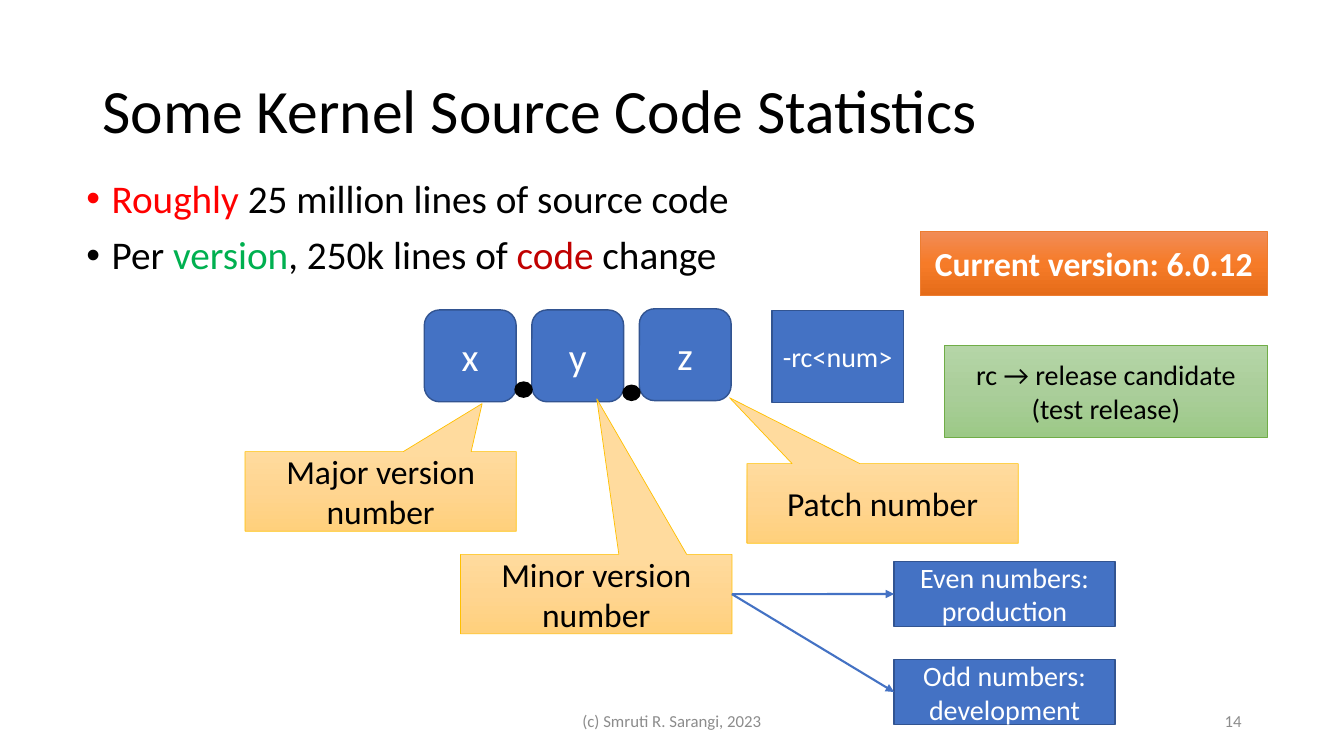
from copy import deepcopy
from dataclasses import dataclass

from lxml.etree import SubElement
from pptx import Presentation
from pptx.dml.color import RGBColor
from pptx.enum.shapes import MSO_CONNECTOR, MSO_SHAPE
from pptx.enum.text import MSO_ANCHOR, MSO_AUTO_SIZE, PP_ALIGN
from pptx.oxml.ns import qn
from pptx.util import Pt


@dataclass(frozen=True)
class Theme:
    font: str = "Calibri"
    black: str = "000000"
    white: str = "FFFFFF"
    grey: str = "8C8C8C"
    red: str = "FF0000"
    dark_red: str = "C00000"
    green: str = "00B050"
    blue: str = "4472C4"
    blue_edge: str = "325491"
    gold: tuple = ("FFDB9E", "FFD590", "FFD07C")
    gold_edge: str = "FFC000"
    orange: tuple = ("F18C57", "F67B28", "E56C19")
    orange_edge: str = "ED7D31"
    leaf: tuple = ("B5D5A7", "AACE9A", "9CC987")
    leaf_edge: str = "70AD47"
    title: int = 44
    body: int = 28
    callout: int = 24
    note: int = 20
    footer: int = 12


theme = Theme()


def add_run(paragraph, text, size, color, bold=False):
    run = paragraph.add_run()
    run.text = text
    run.font.name = theme.font
    run.font.size = Pt(size)
    run.font.bold = bold
    run.font.color.rgb = RGBColor.from_string(color)


def add_box(kind, place, fill, edge, text="", size=theme.note, color=theme.white, bold=False):
    """Draw a labelled shape; a tuple as fill is a gradient from top to bottom."""
    box = slide.shapes.add_shape(kind, *map(Pt, place))
    box.shadow.inherit = False
    if isinstance(fill, tuple):
        box.fill.gradient()
        box.fill.gradient_angle = 270
        stop_list = box._element.spPr.find(".//" + qn("a:gsLst"))
        stop_list.insert(1, deepcopy(stop_list[0]))
        for stop, shade, position in zip(box.fill.gradient_stops, fill, (0, 0.5, 1)):
            stop.color.rgb = RGBColor.from_string(shade)
            stop.position = position
        box.line.width = Pt(0.5)
    else:
        box.fill.solid()
        box.fill.fore_color.rgb = RGBColor.from_string(fill)
        box.line.width = Pt(1)
    box.line.color.rgb = RGBColor.from_string(edge)
    if text:
        box.text_frame.word_wrap = True
        box.text_frame.vertical_anchor = MSO_ANCHOR.MIDDLE
        label = box.text_frame.paragraphs[0]
        label.alignment = PP_ALIGN.CENTER
        add_run(label, text, size, color, bold)
    return box


presentation = Presentation()
presentation.slide_width, presentation.slide_height = Pt(960), Pt(540)
slide = presentation.slides.add_slide(presentation.slide_layouts[5])

# Title
title = slide.shapes.title
title.left, title.top, title.width, title.height = Pt(66), Pt(28.8), Pt(828), Pt(104.4)
title.text_frame.word_wrap = True
title.text_frame.auto_size = MSO_AUTO_SIZE.NONE
title.text_frame.vertical_anchor = MSO_ANCHOR.MIDDLE
heading = title.text_frame.paragraphs[0]
heading.alignment = PP_ALIGN.LEFT
heading.line_spacing = 0.9
add_run(heading, "Some Kernel Source Code Statistics", theme.title, theme.black)

# Bulleted facts
facts = slide.shapes.add_textbox(Pt(54.7), Pt(124.6), Pt(828), Pt(112.3)).text_frame
facts.word_wrap = True
fact_lines = [
    [("Roughly", theme.red), (" 25 million lines of source code", theme.black)],
    [("Per ", theme.black), ("version", theme.green), (", 250k lines of ", theme.black),
     ("code", theme.dark_red), (" change", theme.black)],
]
for number, pieces in enumerate(fact_lines):
    fact = facts.add_paragraph() if number else facts.paragraphs[0]
    properties = fact._p.get_or_add_pPr()
    properties.set("marL", str(Pt(18)))
    properties.set("indent", str(Pt(-18)))
    SubElement(properties, qn("a:buFont")).set("typeface", "Arial")
    SubElement(properties, qn("a:buChar")).set("char", "•")
    fact.line_spacing = 0.9
    if number:
        fact.space_before = Pt(10)
    for text, color in pieces:
        add_run(fact, text, theme.body, color)

# Version pattern x.y.z-rc<num>
for column, (part, top) in enumerate([("x", 221.4), ("y", 221.4), ("z", 220.6)]):
    add_box(MSO_SHAPE.ROUNDED_RECTANGLE, (303.1 + 76.8 * column, top, 65.6, 65.6),
            theme.blue, theme.blue_edge, part, theme.body)
add_box(MSO_SHAPE.RECTANGLE, (551.4, 221.8, 93.8, 65.6), theme.blue, theme.blue_edge, "-rc<num>")

# Callouts
callouts = [
    ("Major version number", 175, 322.6, 0.374, -1.104),
    ("Patch number", 533.5, 331.2, -0.564, -1.329),
    ("Minor version number", 329, 396, 0.002, -2.456),
]
for text, left, top, tip_x, tip_y in callouts:
    callout = add_box(MSO_SHAPE.RECTANGULAR_CALLOUT, (left, top, 193.8, 56.8),
                      theme.gold, theme.gold_edge, text, theme.callout, theme.black)
    callout.adjustments[0], callout.adjustments[1] = tip_x, tip_y
minor_callout = callout

for left, top in [(367.9, 272.9), (445, 275.2)]:
    add_box(MSO_SHAPE.OVAL, (left, top, 12.2, 10.8), theme.black, theme.black)

# Meaning of the minor number
for text, top in [("Even numbers: production", 401.2), ("Odd numbers: development", 471.2)]:
    meaning = add_box(MSO_SHAPE.RECTANGLE, (638.6, top, 158, 46.2),
                      theme.blue, theme.blue_edge, text)
    arrow = slide.shapes.add_connector(MSO_CONNECTOR.STRAIGHT, 0, 0, 0, 0)
    arrow.begin_connect(minor_callout, 3)
    arrow.end_connect(meaning, 1)
    arrow.line.width = Pt(1.5)
    arrow.line.color.rgb = RGBColor.from_string(theme.blue)
    SubElement(arrow.line._get_or_add_ln(), qn("a:tailEnd")).set("type", "triangle")
    SubElement(arrow._element.spPr, qn("a:effectLst"))

# Side notes
add_box(MSO_SHAPE.RECTANGLE, (657.4, 165.2, 247.7, 46.1), theme.orange, theme.orange_edge,
        "Current version: 6.0.12", theme.callout, bold=True)
add_box(MSO_SHAPE.RECTANGLE, (674.6, 246.8, 230.8, 65.6), theme.leaf, theme.leaf_edge,
        "rc → release candidate (test release)", theme.note, theme.black)

# Footer
for text, left, width, alignment in [
    ("(c) Smruti R. Sarangi, 2023", 318, 324, PP_ALIGN.CENTER),
    ("14", 678, 216, PP_ALIGN.RIGHT),
]:
    footer = slide.shapes.add_textbox(Pt(left), Pt(500.5), Pt(width), Pt(28.8)).text_frame
    footer.word_wrap = True
    footer.vertical_anchor = MSO_ANCHOR.MIDDLE
    footer.paragraphs[0].alignment = alignment
    add_run(footer.paragraphs[0], text, theme.footer, theme.grey)

presentation.save("out.pptx")
